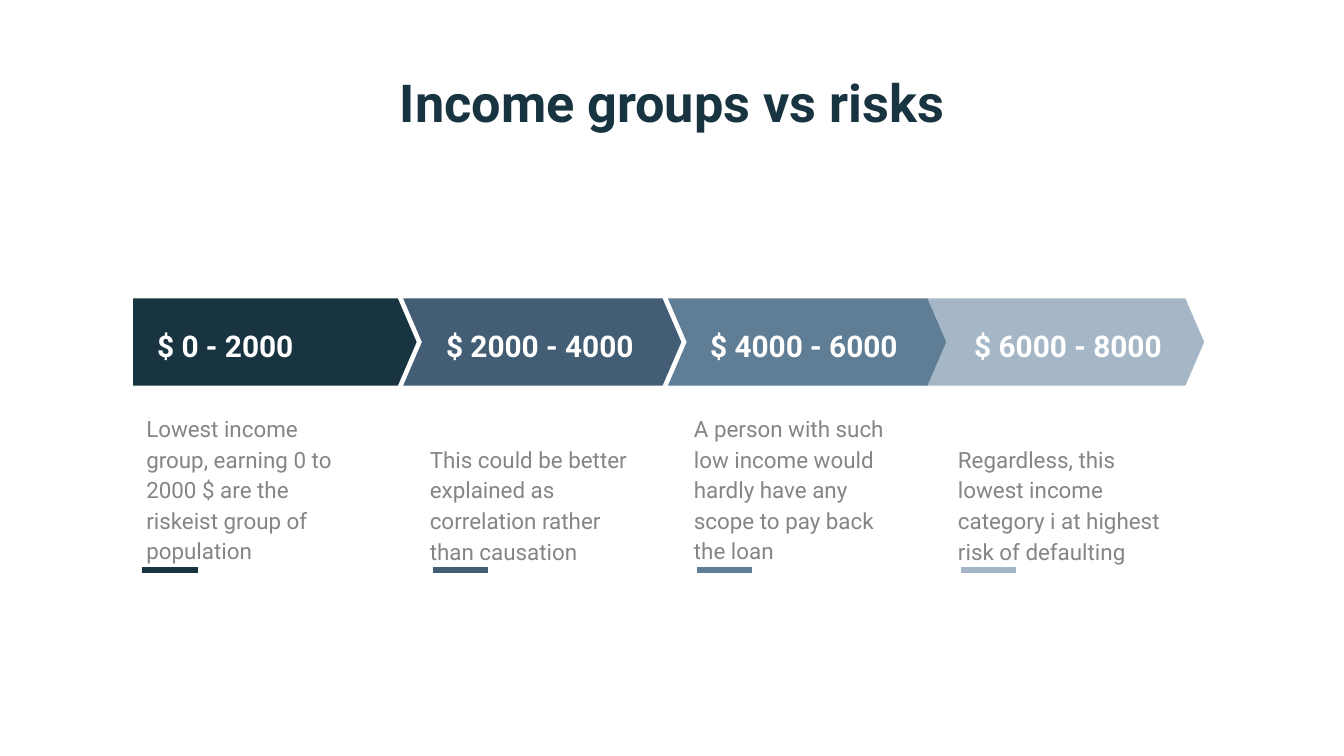
from dataclasses import dataclass

from lxml import etree
from pptx import Presentation
from pptx.dml.color import RGBColor
from pptx.enum.shapes import MSO_CONNECTOR
from pptx.enum.text import MSO_ANCHOR, PP_ALIGN
from pptx.oxml.ns import qn
from pptx.util import Inches, Pt

LEFT, CENTER = PP_ALIGN.LEFT, PP_ALIGN.CENTER
TOP = MSO_ANCHOR.TOP
STRAIGHT = MSO_CONNECTOR.STRAIGHT
TITLE_ONLY = 5


@dataclass(frozen=True)
class Theme:
    font: str = "Roboto"
    dark: str = "193441"
    white: str = "FFFFFF"
    grey: str = "858585"
    title_size: int = 28
    label_size: int = 16
    body_size: int = 12
    rule_width: int = 3
    line_spacing: float = 1.14


@dataclass(frozen=True)
class Step:
    label: str
    description: str
    color: str
    arrow_left: float
    arrow_right: float
    text_left: float
    rows_down: int  # text rows by which the description starts lower


THEME = Theme()
SLIDE_WIDTH = 10
SLIDE_HEIGHT = SLIDE_WIDTH * 9 / 16
COLUMN_LEFT, COLUMN_PITCH = 3.22, 3.93 / 2
ARROW_TOP, ARROW_BOTTOM, ARROW_TIP = 2.22, 2.87, 0.14
LABEL_TOP, LABEL_WIDTH, LABEL_HEIGHT = 2.3, 1.71, 0.49
BODY_LEFT, BODY_TOP, BODY_WIDTH, BODY_HEIGHT = 0.99, 2.96, 1.74, 1.28
BODY_OUTDENT, TEXT_ROW = 0.12, 0.23
RULE_LEFT, RULE_TOP, RULE_LENGTH = 1.06, 4.24, 0.41

STEPS = [
    Step("$ 0 - 2000",
         "Lowest income group, earning 0 to 2000 $ are the riskeist group of population",
         THEME.dark, 0.99, 3.1, 1.07, 0),
    Step("$ 2000 - 4000",
         "This could be better explained as correlation rather than causation",
         "435D74", 3, 5.07, COLUMN_LEFT, 1),
    Step("$ 4000 - 6000",
         "A person with such low income would hardly have any scope to pay back the loan",
         "5F7D95", 4.97, 7.04, COLUMN_LEFT + COLUMN_PITCH, 0),
    Step("$ 6000 - 8000",
         "Regardless, this lowest income category i at highest risk of defaulting",
         "A5B7C6", 6.89, 8.96, COLUMN_LEFT + 2 * COLUMN_PITCH, 1),
]


def write_text(shape, text, *, size, color, bold=False, align=LEFT, spacing=1.0):
    frame = shape.text_frame
    frame.word_wrap = True
    frame.vertical_anchor = TOP
    frame.margin_left = frame.margin_right = Inches(0.1)
    frame.margin_top = frame.margin_bottom = Inches(0.1)
    paragraph = frame.paragraphs[0]
    paragraph.alignment = align
    paragraph.line_spacing = spacing
    run = paragraph.add_run()
    run.text = text
    run.font.name = THEME.font
    run.font.size = Pt(size)
    run.font.bold = bold
    run.font.color.rgb = RGBColor.from_string(color)


def add_title(slide, text):
    title = slide.shapes.title
    title.left, title.top = Inches(0.87), Inches(0.42)
    title.width, title.height = Inches(8.26), Inches(0.63)
    write_text(title, text, size=THEME.title_size, color=THEME.dark,
               bold=True, align=CENTER)


def add_text(slide, text, left, top, width, height, **text_format):
    box = slide.shapes.add_textbox(
        Inches(left), Inches(top), Inches(width), Inches(height))
    write_text(box, text, spacing=THEME.line_spacing, **text_format)


def add_arrow(slide, step, notched):
    """Draw one arrow of the band; the first has a flat left side."""
    left, right = step.arrow_left, step.arrow_right
    shoulder = right - ARROW_TIP
    middle = (ARROW_TOP + ARROW_BOTTOM) / 2
    notch = [(left + ARROW_TIP, middle)] if notched else []
    points = notch + [(left, ARROW_BOTTOM), (shoulder, ARROW_BOTTOM),
                      (right, middle), (shoulder, ARROW_TOP)]
    builder = slide.shapes.build_freeform(Inches(left), Inches(ARROW_TOP))
    builder.add_line_segments([(Inches(x), Inches(y)) for x, y in points])
    arrow = builder.convert_to_shape()
    arrow.shadow.inherit = False
    arrow.fill.solid()
    arrow.fill.fore_color.rgb = RGBColor.from_string(step.color)
    arrow.line.fill.background()


def add_rule(slide, left, color):
    rule = slide.shapes.add_connector(
        STRAIGHT, Inches(left), Inches(RULE_TOP),
        Inches(left + RULE_LENGTH), Inches(RULE_TOP))
    rule.line.color.rgb = RGBColor.from_string(color)
    rule.line.width = Pt(THEME.rule_width)
    etree.SubElement(rule.element.spPr, qn("a:effectLst"))


def add_step_text(slide, step):
    first = step is STEPS[0]
    add_text(slide, step.label, step.text_left, LABEL_TOP, LABEL_WIDTH, LABEL_HEIGHT,
             size=THEME.label_size, color=THEME.white, bold=True)
    offset = step.rows_down * TEXT_ROW
    body_left = BODY_LEFT if first else step.text_left - BODY_OUTDENT
    add_text(slide, step.description, body_left, BODY_TOP + offset,
             BODY_WIDTH, BODY_HEIGHT - offset,
             size=THEME.body_size, color=THEME.grey)
    add_rule(slide, RULE_LEFT if first else step.text_left, step.color)


def main():
    presentation = Presentation()
    presentation.slide_width = Inches(SLIDE_WIDTH)
    presentation.slide_height = Inches(SLIDE_HEIGHT)
    slide = presentation.slides.add_slide(presentation.slide_layouts[TITLE_ONLY])
    add_title(slide, "Income groups vs risks")
    # Later arrows lie behind earlier ones.
    for step in reversed(STEPS):
        add_arrow(slide, step, notched=step is not STEPS[0])
    for step in STEPS:
        add_step_text(slide, step)
    presentation.save("out.pptx")


if __name__ == "__main__":
    main()
